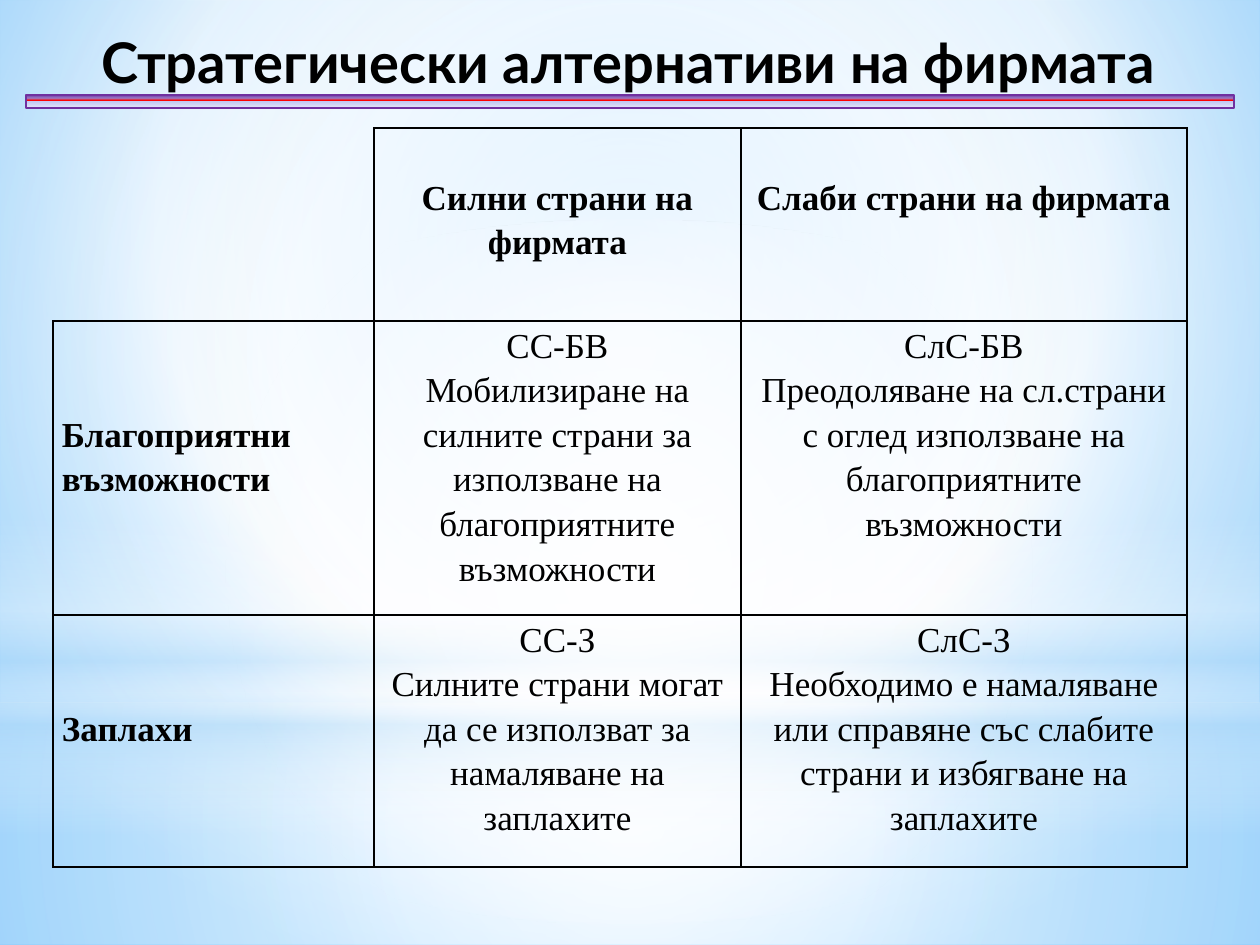
"""Build a slide with a matrix of a firm's strategic alternatives."""
from dataclasses import dataclass
from typing import Optional

from lxml.etree import SubElement
from pptx import Presentation
from pptx.dml.color import RGBColor
from pptx.enum.shapes import MSO_SHAPE
from pptx.enum.text import MSO_ANCHOR, MSO_AUTO_SIZE, PP_ALIGN
from pptx.oxml.ns import qn
from pptx.util import Emu, Pt

PIXELS_PER_INCH = 126
COLORS = {
    "black": "000000", "white": "FFFFFF", "sky": "9ED5FF", "deep": "5BB9FF",
    "pale": "B4DCFA", "purple": "7030A0", "violet": "987CC9", "red": "FF0000",
    "lavender": "C1C7F2", "mist": "E1E3F8",
}
CENTER = (50, 50, 50, 50)
SIDES = ("L", "R", "T", "B")


@dataclass(frozen=True)
class Stop:
    position: int
    color: str
    opacity: int = 100


@dataclass(frozen=True)
class Gradient:
    stops: tuple[Stop, ...]
    focus: Optional[tuple[int, int, int, int]] = None


@dataclass(frozen=True)
class Panel:
    box: tuple[int, int, int, int]
    gradient: Gradient
    kind: MSO_SHAPE = MSO_SHAPE.RECTANGLE


@dataclass(frozen=True)
class CellText:
    paragraphs: tuple[str, ...]
    top: int = 0
    bold: bool = False
    alignment: PP_ALIGN = PP_ALIGN.CENTER


BACKGROUND = Gradient((Stop(0, "sky"), Stop(60, "white"), Stop(100, "deep")), (20, 10, 20, 60))
WASHES = (
    Panel((0, 703, 1260, 242), Gradient(
        (Stop(0, "white", 91), Stop(37, "white", 76), Stop(100, "pale", 79)), CENTER)),
    Panel((0, 0, 1260, 703), Gradient(
        (Stop(0, "white", 89), Stop(48, "white", 62), Stop(100, "pale", 79)), CENTER)),
    Panel((0, 519, 1260, 315), Gradient(
        (Stop(0, "white", 0), Stop(29, "white", 30), Stop(45, "pale", 40),
         Stop(55, "white", 26), Stop(65, "pale", 60), Stop(100, "white", 0)))),
    Panel((0, 220, 1260, 703), Gradient(
        (Stop(0, "white"), Stop(56, "white", 0)), CENTER), MSO_SHAPE.OVAL),
)
TITLE_BAR = Panel((26, 95, 1208, 13), Gradient(
    (Stop(0, "purple"), Stop(25, "violet"), Stop(43, "red"),
     Stop(50, "lavender"), Stop(100, "mist"))))

COLUMNS = (321, 367, 446)
ROWS = (193, 294, 252)
MATRIX = (
    (None,
     CellText(("Силни страни на фирмата",), 45, True),
     CellText(("Слаби страни на фирмата",), 45, True)),
    (CellText(("Благоприятни възможности",), 89, True, PP_ALIGN.JUSTIFY),
     CellText(("СС-БВ", "Мобилизиране на силните страни за използване на "
               "благоприятните възможности")),
     CellText(("СлС-БВ", "Преодоляване на сл.страни с оглед използване на "
               "благоприятните възможности"))),
    (CellText(("Заплахи",), 89, True, PP_ALIGN.JUSTIFY),
     CellText(("СС-З", "Силните страни могат да се използват за намаляване на заплахите")),
     CellText(("СлС-З", "Необходимо е намаляване или справяне със слабите страни "
               "и избягване на заплахите"))),
)


def px(length: int) -> Emu:
    return Emu(round(length * 914400 / PIXELS_PER_INCH))


def rgb(name: str) -> RGBColor:
    return RGBColor.from_string(COLORS[name])


def apply_gradient(fill, owner, gradient: Gradient) -> None:
    fill.gradient()
    element = owner.find(".//" + qn("a:gradFill"))
    element.clear()
    element.set("rotWithShape", "1")
    stop_list = SubElement(element, qn("a:gsLst"))
    for stop in gradient.stops:
        entry = SubElement(stop_list, qn("a:gs"), pos=str(stop.position * 1000))
        color = SubElement(entry, qn("a:srgbClr"), val=COLORS[stop.color])
        if stop.opacity < 100:
            SubElement(color, qn("a:alpha"), val=str(stop.opacity * 1000))
    if gradient.focus:
        route = SubElement(element, qn("a:path"))
        route.set("path", "circle")
        edges = {side: str(value * 1000) for side, value in zip("ltrb", gradient.focus)}
        SubElement(route, qn("a:fillToRect"), **edges)
    else:
        SubElement(element, qn("a:lin"), ang="5400000", scaled="0")


def draw_panel(slide, panel: Panel):
    shape = slide.shapes.add_shape(panel.kind, *map(px, panel.box))
    shape.shadow.inherit = False
    shape.line.fill.background()
    apply_gradient(shape.fill, shape._element.spPr, panel.gradient)
    return shape


def add_text(paragraph, text: str, font_name: str, size: int, bold: bool) -> None:
    run = paragraph.add_run()
    run.text = text
    run.font.name = font_name
    run.font.size = Pt(size)
    run.font.bold = bold
    run.font.color.rgb = rgb("black")


def place_title(slide) -> None:
    title = slide.shapes.title
    title.left, title.top, title.width, title.height = map(px, (21, 21, 1215, 81))
    frame = title.text_frame
    frame.word_wrap = True
    frame.auto_size = MSO_AUTO_SIZE.NONE
    frame.vertical_anchor = MSO_ANCHOR.MIDDLE
    paragraph = frame.paragraphs[0]
    paragraph.alignment = PP_ALIGN.CENTER
    add_text(paragraph, "Стратегически алтернативи на фирмата", "Lato", 32, True)
    slide.shapes._spTree.append(title._element)


def set_borders(cell, visible: tuple[str, ...]) -> None:
    properties = cell._tc.get_or_add_tcPr()
    for index, side in enumerate(SIDES):
        line = SubElement(properties, qn(f"a:ln{side}"), w=str(Pt(1)))
        if side in visible:
            solid = SubElement(line, qn("a:solidFill"))
            SubElement(solid, qn("a:srgbClr"), val=COLORS["black"])
        else:
            SubElement(line, qn("a:noFill"))
        properties.insert(index, line)


def fill_cell(cell, content: CellText) -> None:
    cell.margin_left = cell.margin_right = px(9)
    cell.margin_top, cell.margin_bottom = px(content.top), 0
    frame = cell.text_frame
    for index, text in enumerate(content.paragraphs):
        paragraph = frame.add_paragraph() if index else frame.paragraphs[0]
        paragraph.alignment = content.alignment
        paragraph.line_spacing = 1.15
        add_text(paragraph, text, "Times New Roman", 20, content.bold)


def draw_matrix(slide) -> None:
    frame = slide.shapes.add_table(
        len(ROWS), len(COLUMNS), px(53), px(128), px(sum(COLUMNS)), px(sum(ROWS)))
    table = frame.table
    table.first_row = table.horz_banding = False
    for column, width in zip(table.columns, COLUMNS):
        column.width = px(width)
    for row, height, contents in zip(table.rows, ROWS, MATRIX):
        row.height = px(height)
        for cell, content in zip(row.cells, contents):
            cell.fill.background()
            set_borders(cell, SIDES if content else ("R", "B"))
            if content:
                fill_cell(cell, content)


def main() -> None:
    presentation = Presentation()
    presentation.slide_width, presentation.slide_height = px(1260), px(945)
    slide = presentation.slides.add_slide(presentation.slide_layouts[5])
    apply_gradient(slide.background.fill, slide._element, BACKGROUND)
    for wash in WASHES:
        draw_panel(slide, wash)
    place_title(slide)
    draw_matrix(slide)
    bar = draw_panel(slide, TITLE_BAR)
    bar.line.color.rgb = rgb("purple")
    bar.line.width = Pt(1.25)
    presentation.save("out.pptx")


if __name__ == "__main__":
    main()
